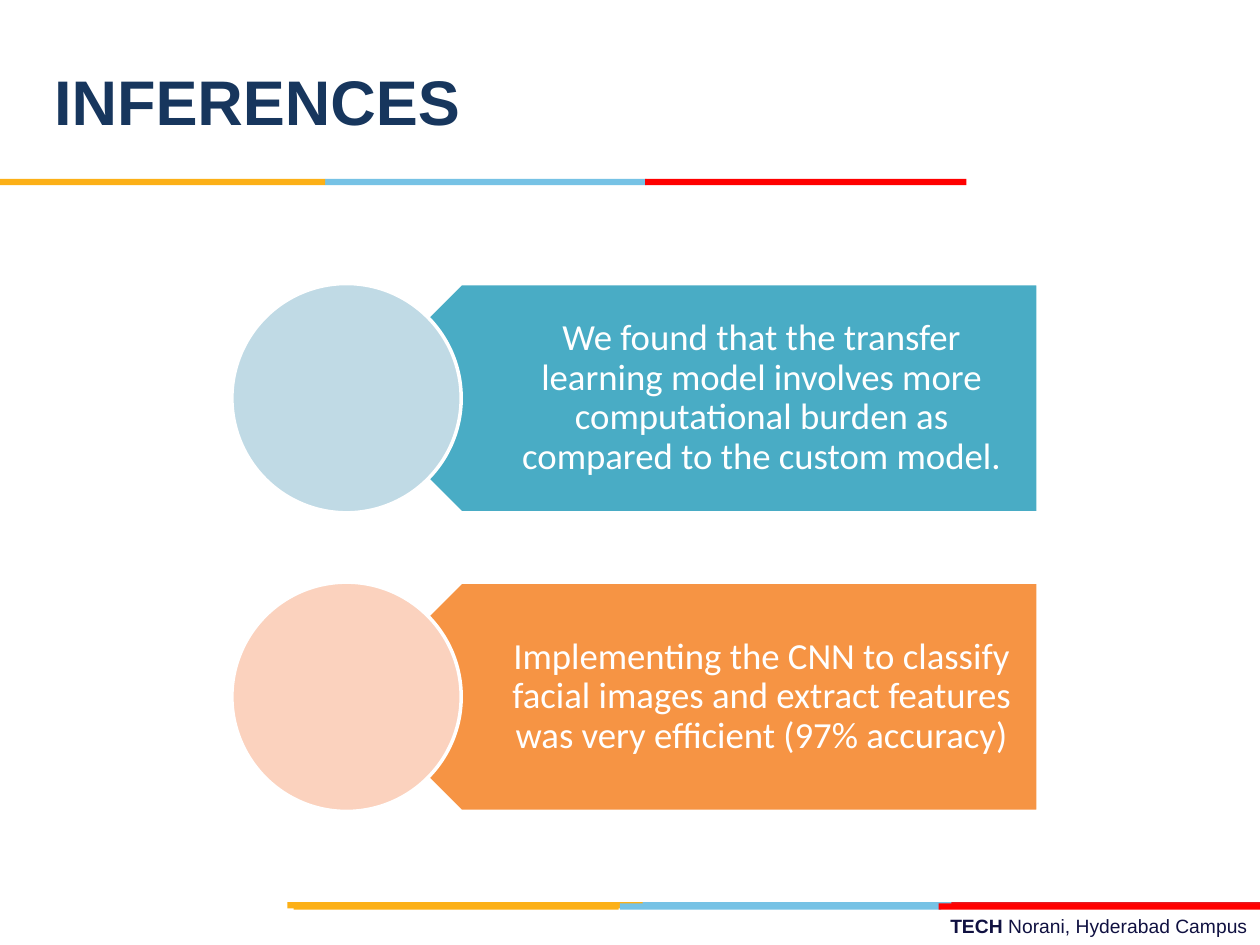
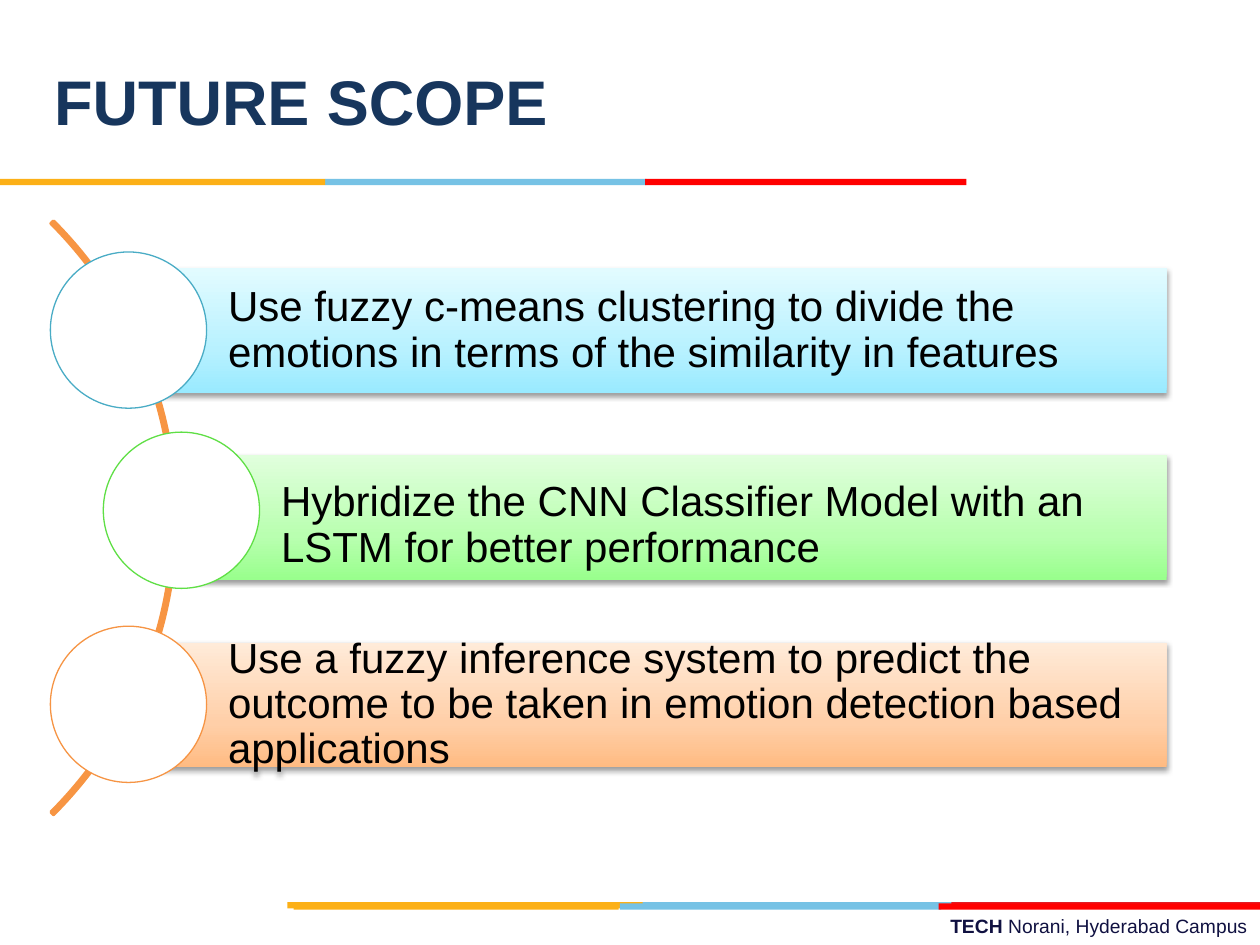
from copy import deepcopy
from dataclasses import dataclass

from pptx import Presentation
from pptx.dml.color import RGBColor
from pptx.enum import shapes, text
from pptx.oxml import parse_xml
from pptx.oxml.ns import nsdecls, qn
from pptx.util import Inches, Pt


@dataclass(frozen=True)
class Theme:
    """Colours, fonts and type sizes of the deck."""

    navy: str = "17365D"
    ink: str = "101141"
    black: str = "000000"
    white: str = "FFFFFF"
    gold: str = "FCB017"
    sky: str = "76C2E5"
    crimson: str = "E31C24"
    red: str = "FF0000"
    teal: str = "49ACC5"
    pale_teal: str = "C0DAE5"
    orange: str = "F69444"
    pale_orange: str = "FBD2BE"
    arc_orange: str = "F79543"
    green: str = "5FDF45"
    blue_fade: tuple = ("99EAFF", "B8F1FF", "E2FBFF")
    green_fade: tuple = ("99FF8D", "B9FFB0", "E1FFDD")
    orange_fade: tuple = ("FFBB82", "FFCFA8", "FFEBD9")
    heading_font: str = "Arial"
    callout_font: str = "Calibri"
    title_size: int = 36
    scope_size: int = 24
    callout_size: int = 21
    footer_size: int = 11


THEME = Theme()
SHAPE = shapes.MSO_SHAPE
ALIGN = text.PP_ALIGN
BAND_HEIGHT = 0.05
BANDS = (
    (7.16, ((5.06, 2.55, THEME.sky), (7.55, 2.45, THEME.crimson), (2.28, 2.82, THEME.gold))),
    (7.17, ((4.92, 2.55, THEME.sky), (2.33, 2.58, THEME.gold), (7.45, 2.55, THEME.red))),
    (1.42, ((2.58, 2.55, THEME.sky), (0, 2.58, THEME.gold), (5.12, 2.55, THEME.red))),
)


def rgb(color):
    """Turn a hex string into a colour."""
    return RGBColor.from_string(color)


def write_text(shape, runs, *, size, color, font=THEME.heading_font, align=ALIGN.LEFT,
               anchor=text.MSO_ANCHOR.MIDDLE, insets=(0.1, 0.05, 0.1, 0.05), spacing=None):
    """Fill a shape with one paragraph of (words, bold) runs."""
    frame = shape.text_frame
    frame.word_wrap = True
    frame.vertical_anchor = anchor
    (frame.margin_left, frame.margin_top,
     frame.margin_right, frame.margin_bottom) = map(Inches, insets)
    paragraph = frame.paragraphs[0]
    paragraph.alignment = align
    paragraph.line_spacing = spacing
    for words, bold in runs:
        run = paragraph.add_run()
        run.text = words
        run.font.name = font
        run.font.size = Pt(size)
        run.font.bold = bold
        run.font.color.rgb = rgb(color)


def add_preset(slide, preset, box, fill=None, line=None, line_width=2):
    """Add a flat preset shape, with an optional fill and outline."""
    shape = slide.shapes.add_shape(preset, *map(Inches, box))
    shape.shadow.inherit = False
    if fill:
        shape.fill.solid()
        shape.fill.fore_color.rgb = rgb(fill)
    if line:
        shape.line.color.rgb = rgb(line)
        shape.line.width = Pt(line_width)
    else:
        shape.line.fill.background()
    return shape


def add_textbox(slide, box, runs, **format_options):
    """Add a text box and write its text."""
    textbox = slide.shapes.add_textbox(*map(Inches, box))
    write_text(textbox, runs, **format_options)
    return textbox


def add_gradient(shape, colors):
    """Fill a shape with a three-stop gradient running upwards."""
    shape.fill.gradient()
    shape.fill.gradient_angle = 90
    stop_list = shape.element.spPr.find(".//" + qn("a:gsLst"))
    stop_list.insert(1, deepcopy(stop_list[0]))
    for stop, position, color in zip(shape.fill.gradient_stops, (0, 0.35, 1), colors):
        stop.position = position
        stop.color.rgb = rgb(color)


def add_shadow(shape):
    """Give a shape a soft shadow below it."""
    shape.element.spPr.find(qn("a:effectLst")).append(parse_xml(
        f'<a:outerShdw {nsdecls("a")} blurRad="{Pt(3.1)}" dist="{Pt(1.6)}" dir="5400000" '
        f'rotWithShape="0"><a:srgbClr val="{THEME.black}"><a:alpha val="38000"/>'
        '</a:srgbClr></a:outerShdw>'))


def add_branding(layout, slide):
    """Build the colour bands and campus footer and move them to the layout."""
    footer = add_textbox(
        slide, (3.58, 7.21, 6.42, 0.29),
        [("TECH ", True), ("Norani, Hyderabad Campus", False)],
        size=THEME.footer_size, color=THEME.ink, align=ALIGN.RIGHT,
        anchor=text.MSO_ANCHOR.TOP)
    parts = [footer]
    for top, segments in BANDS:
        for left, width, color in segments:
            parts.append(add_preset(slide, SHAPE.RECTANGLE, (left, top, width, BAND_HEIGHT), color))
    for number, part in enumerate(parts, start=100):
        part.element.xpath(".//p:cNvPr")[0].set("id", str(number))
        layout.shapes.element.append(part.element)


def add_titled_slide(presentation, layout, title):
    """Add a slide and place its title."""
    slide = presentation.slides.add_slide(layout)
    placeholder = slide.shapes.title
    placeholder.left, placeholder.top = Inches(0.33), Inches(0.17)
    placeholder.width, placeholder.height = Inches(6.92), Inches(1.25)
    write_text(placeholder, [(title, True)], size=THEME.title_size, color=THEME.navy)
    return slide


def add_inference(slide, top, words, color, pale_color):
    """Add a left-pointing callout with a circle over its tip."""
    height = 1.82
    callout = add_preset(slide, SHAPE.PENTAGON, (2.75, top, 5.49, height), color, THEME.white)
    callout.rotation = 180
    add_textbox(slide, (3.21, top, 5.03, height), [(words, False)],
                size=THEME.callout_size, color=THEME.white, font=THEME.callout_font,
                align=ALIGN.CENTER, insets=(0.8, 0.09, 0.16, 0.09), spacing=0.9)
    add_preset(slide, SHAPE.OVAL, (1.84, top, height, height), pale_color, THEME.white)


def add_scope_item(slide, bar_left, bar_top, circle_top, words, fade, outline, text_drop=0):
    """Add a gradient bar of text with an outlined circle at its left end."""
    right_edge, diameter = 9.26, 1.24
    bar = add_preset(slide, SHAPE.RECTANGLE, (bar_left, bar_top, right_edge - bar_left, 0.99))
    add_gradient(bar, fade)
    add_shadow(bar)
    write_text(bar, [(words, False)], size=THEME.scope_size, color=THEME.black,
               insets=(0.79, 0.07 + 2 * text_drop, 0.07, 0.07), spacing=0.9)
    add_preset(slide, SHAPE.OVAL, (bar_left - diameter / 2, circle_top, diameter, diameter),
               THEME.white, outline, 0.75)


def add_arc(slide):
    """Add the thin arc that links the circles."""
    arc = add_preset(slide, SHAPE.BLOCK_ARC, (-5.26, 0.78, 6.66, 6.66),
                     THEME.arc_orange, THEME.arc_orange)
    for index, value in enumerate((189, 27, 0.004)):
        arc.adjustments[index] = value


def main():
    """Build the two slides and save them."""
    presentation = Presentation()
    presentation.slide_width, presentation.slide_height = Inches(10), Inches(7.5)
    layout = presentation.slide_layouts.get_by_name("Title Only")

    inferences = add_titled_slide(presentation, layout, "INFERENCES")
    add_branding(layout, inferences)
    add_inference(inferences, 2.25,
                  "We found that the transfer learning model involves more computational "
                  "burden as compared to the custom model.",
                  THEME.teal, THEME.pale_teal)
    add_inference(inferences, 4.62,
                  "Implementing the CNN to classify facial images and extract features "
                  "was very efficient (97% accuracy)",
                  THEME.orange, THEME.pale_orange)

    future = add_titled_slide(presentation, layout, "FUTURE SCOPE")
    add_arc(future)
    add_scope_item(future, 1.02, 2.13, 2,
                   "Use fuzzy c-means clustering to divide the emotions in terms of the "
                   "similarity in features", THEME.blue_fade, THEME.teal)
    add_scope_item(future, 1.44, 3.61, 3.43,
                   "Hybridize the CNN Classifier Model with an LSTM for better performance",
                   THEME.green_fade, THEME.green, text_drop=0.07)
    add_scope_item(future, 1.02, 5.1, 4.97,
                   "Use a fuzzy inference system to predict the outcome to be taken in "
                   "emotion detection based applications", THEME.orange_fade, THEME.orange)

    presentation.save("out.pptx")


if __name__ == "__main__":
    main()
